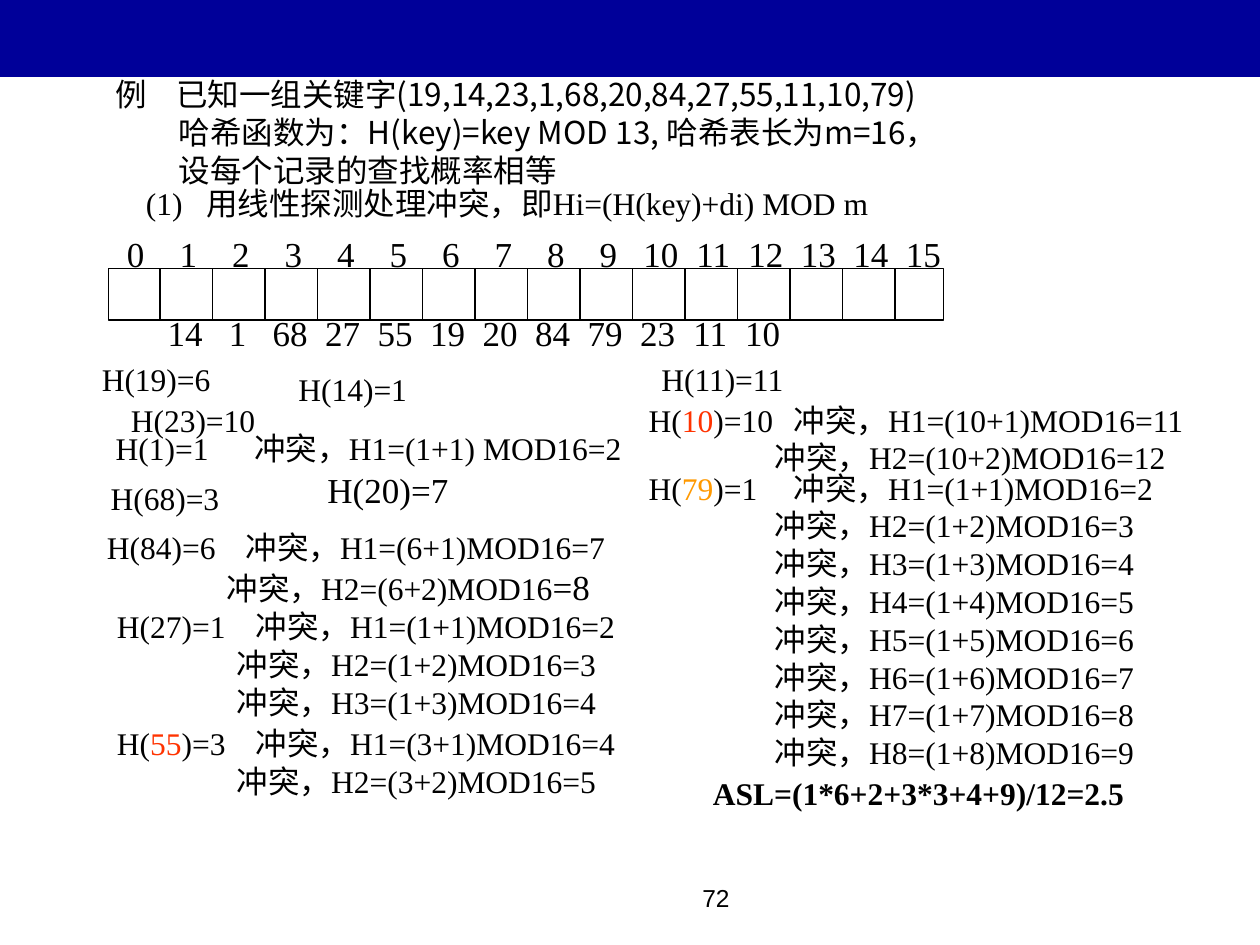
from dataclasses import dataclass

from lxml.etree import SubElement
from pptx import Presentation
from pptx.dml.color import RGBColor
from pptx.enum.shapes import MSO_CONNECTOR, MSO_SHAPE
from pptx.enum.text import PP_ALIGN
from pptx.oxml.ns import qn
from pptx.util import Inches, Pt


@dataclass(frozen=True)
class Theme:
    navy: str = "000099"
    black: str = "000000"
    red: str = "FF3300"
    amber: str = "FF9900"
    body: int = 18
    large: int = 20
    page: int = 14
    serif: str = "Times New Roman"
    sans: str = "Arial"
    asian: str = "Noto Sans CJK SC"


THEME = Theme()
PITCH = 5 / 12
CELLS = 16
ROW_TOP, ROW_END = 2.13, 2.54


def color(code):
    return RGBColor.from_string(code)


def add_tabs(para, stops, kind):
    tabs = SubElement(para._p.get_or_add_pPr(), qn("a:tabLst"))
    for stop in stops:
        SubElement(tabs, qn("a:tab"), pos=str(Inches(stop)), algn=kind)


def add_run(para, words, size, font, ink, bold):
    run = para.add_run()
    run.text = words
    run.font.size = Pt(size)
    run.font.bold = bold
    run.font.color.rgb = color(ink)
    run.font.name = font
    SubElement(run._r.get_or_add_rPr(), qn("a:ea"), typeface=THEME.asian)


def add_text(slide, at, lines, size=THEME.body, font=THEME.serif, bold=False,
             align=PP_ALIGN.LEFT, pad=(0.1, 0), tabs=(), kind="l", indent=0):
    """Each line is a string or a list of (words, ink, size) runs.

    Lines after the first are indented.
    """
    frame = slide.shapes.add_textbox(*map(Inches, at)).text_frame
    frame.word_wrap = True
    frame.margin_left, frame.margin_right = map(Inches, pad)
    for i, line in enumerate(lines):
        para = frame.paragraphs[0] if i == 0 else frame.add_paragraph()
        runs = [(line, THEME.black, size)] if isinstance(line, str) else line
        para.alignment = align
        para.line_spacing = Pt(1.2 * max(run[2] for run in runs))
        if i and indent:
            para._p.get_or_add_pPr().set("marL", str(Inches(indent)))
        if tabs:
            add_tabs(para, tabs, kind)
        for words, ink, points in runs:
            add_run(para, words, points, font, ink, bold)


def add_rect(shapes, at, fill=None, line=None):
    rect = shapes.add_shape(MSO_SHAPE.RECTANGLE, *map(Inches, at))
    rect.shadow.inherit = False
    if fill:
        rect.fill.solid()
        rect.fill.fore_color.rgb = color(fill)
    else:
        rect.fill.background()
    if line:
        rect.line.color.rgb = color(line)
        rect.line.width = Pt(0.75)
    else:
        rect.line.fill.background()


def add_rule(shapes, x):
    rule = shapes.add_connector(MSO_CONNECTOR.STRAIGHT, Inches(x), Inches(ROW_TOP),
                                Inches(x), Inches(ROW_END))
    rule.line.color.rgb = color(THEME.black)
    rule.line.width = Pt(0.75)
    SubElement(rule._element.spPr, qn("a:effectLst"))


def add_hash(slide, keys):
    """Draw the hash table: indexes above, cells, stored keys below."""
    add_text(slide, (0.91, 1.8, 6.67, 0.44), ["\t".join(map(str, range(CELLS)))],
             size=THEME.large, kind="ctr",
             tabs=[0.07 + PITCH * i for i in range(1, CELLS)])
    grid = slide.shapes.add_group_shape().shapes
    add_rect(grid, (0.86, ROW_TOP, 6.63, ROW_END - ROW_TOP), line=THEME.black)
    for i in range(CELLS - 1):
        add_rule(grid, 1.27 + PITCH * i)
    for i, key in enumerate(keys):
        add_text(slide, (1.23 + PITCH * i, 2.42, 0.48, 0.44), [str(key)],
                 size=THEME.large, align=PP_ALIGN.CENTER, pad=(0, 0))


def probe(step, base, mod="MOD16"):
    return f"冲突，H{step}=({base}+{step}){mod}={base + step}"


def add_probes(slide, at, key, base, steps, ink=THEME.black, tab=1.1, indent=0.95,
               mod="MOD16"):
    """Show a key's hash and each collision step that follows."""
    size = THEME.body
    first = [("H(", THEME.black, size), (str(key), ink, size),
             (f")={base}\t" + probe(1, base, mod), THEME.black, size)]
    rest = [probe(i, base) for i in range(2, steps + 1)]
    add_text(slide, at, [first, *rest], tabs=[tab], indent=indent)


def add_left(slide):
    add_text(slide, (0.71, 2.81, 1.06, 0.4), ["H(19)=6"])
    add_text(slide, (2.27, 2.89, 1.06, 0.4), ["H(14)=1"])
    add_text(slide, (0.94, 3.13, 1.19, 0.4), ["H(23)=10"])
    add_probes(slide, (0.82, 3.36, 4.28, 0.4), 1, 1, 1, mod=" MOD16")
    add_text(slide, (0.78, 3.75, 1.33, 0.4), ["H(68)=3"])
    add_text(slide, (2.5, 3.67, 1.16, 0.44), ["H(20)=7"], size=THEME.large)
    last = [("冲突，H2=(6+2)MOD16", THEME.black, THEME.body),
            ("=8", THEME.black, THEME.large)]
    add_text(slide, (0.75, 4.14, 4.25, 0.74), ["H(84)=6\t" + probe(1, 6), last],
             tabs=[1.1], indent=0.95)
    add_probes(slide, (0.83, 4.77, 4.22, 1), 27, 1, 3)
    add_probes(slide, (0.83, 5.7, 4.22, 0.7), 55, 3, 2, ink=THEME.red)


def add_right(slide):
    add_text(slide, (5.15, 2.81, 1.19, 0.4), ["H(11)=11"])
    add_probes(slide, (5.05, 3.13, 4.53, 0.7), 10, 10, 2, ink=THEME.red,
               tab=1.15, indent=1)
    add_probes(slide, (5.05, 3.67, 4.28, 2.8), 79, 1, 8, ink=THEME.amber,
               tab=1.15, indent=1)
    add_text(slide, (5.56, 6.09, 3.46, 0.4), ["ASL=(1*6+2+3*3+4+9)/12=2.5"], bold=True)


def main():
    deck = Presentation()
    deck.slide_width, deck.slide_height = Inches(10), Inches(7.5)
    slide = deck.slides.add_slide(deck.slide_layouts[6])
    add_rect(slide.shapes, (-0.01, 0, 10.01, 0.61), fill=THEME.navy)
    add_text(slide, (3.83, 6.96, 2.06, 0.54), ["72"], size=THEME.page,
             font=THEME.sans, align=PP_ALIGN.RIGHT, pad=(0.1, 0.1))
    add_text(slide, (0.82, 0.55, 7.12, 1),
             ["例\t已知一组关键字(19,14,23,1,68,20,84,27,55,11,10,79)",
              "哈希函数为：H(key)=key MOD 13, 哈希表长为m=16，",
              "设每个记录的查找概率相等"],
             font=THEME.asian, tabs=[0.48], indent=0.5)
    add_text(slide, (1.06, 1.41, 5.99, 0.4),
             ["(1)\t用线性探测处理冲突，即Hi=(H(key)+di) MOD m"], tabs=[0.48])
    add_hash(slide, [14, 1, 68, 27, 55, 19, 20, 84, 79, 23, 11, 10])
    add_left(slide)
    add_right(slide)
    deck.save("out.pptx")


if __name__ == "__main__":
    main()
